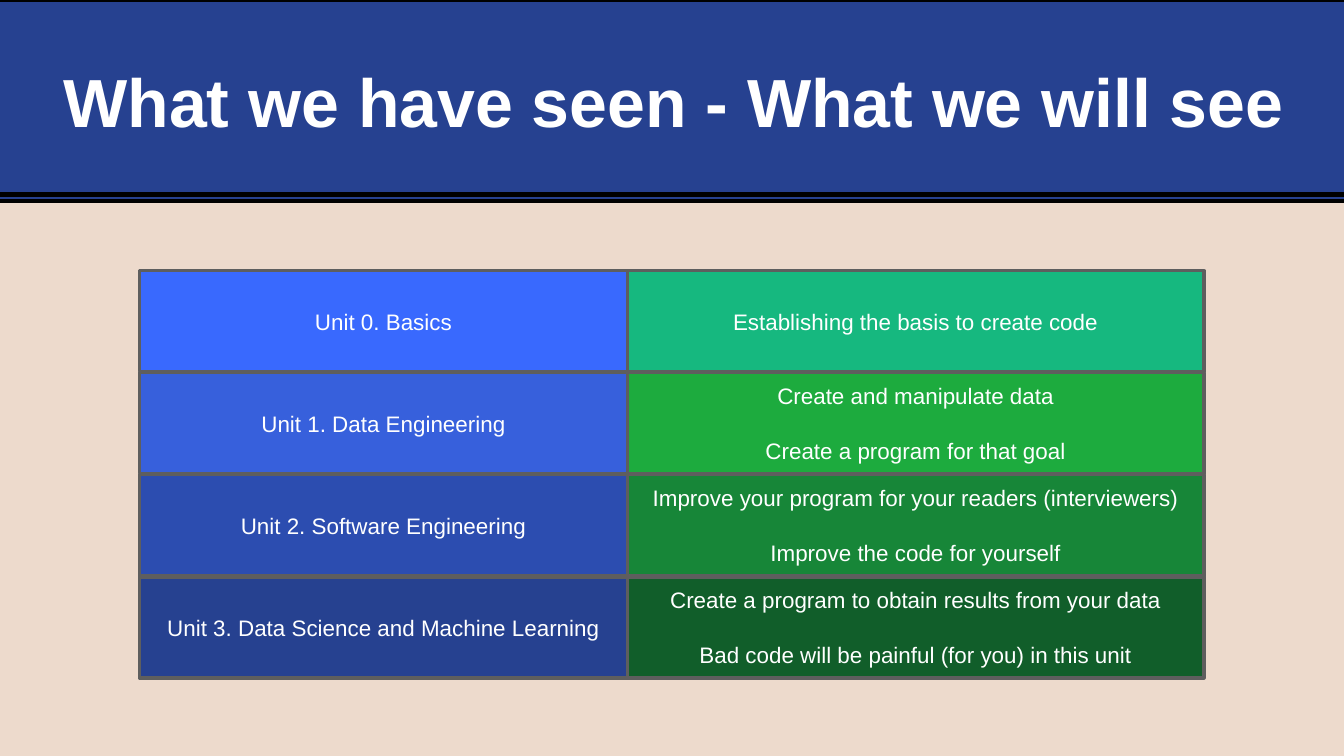
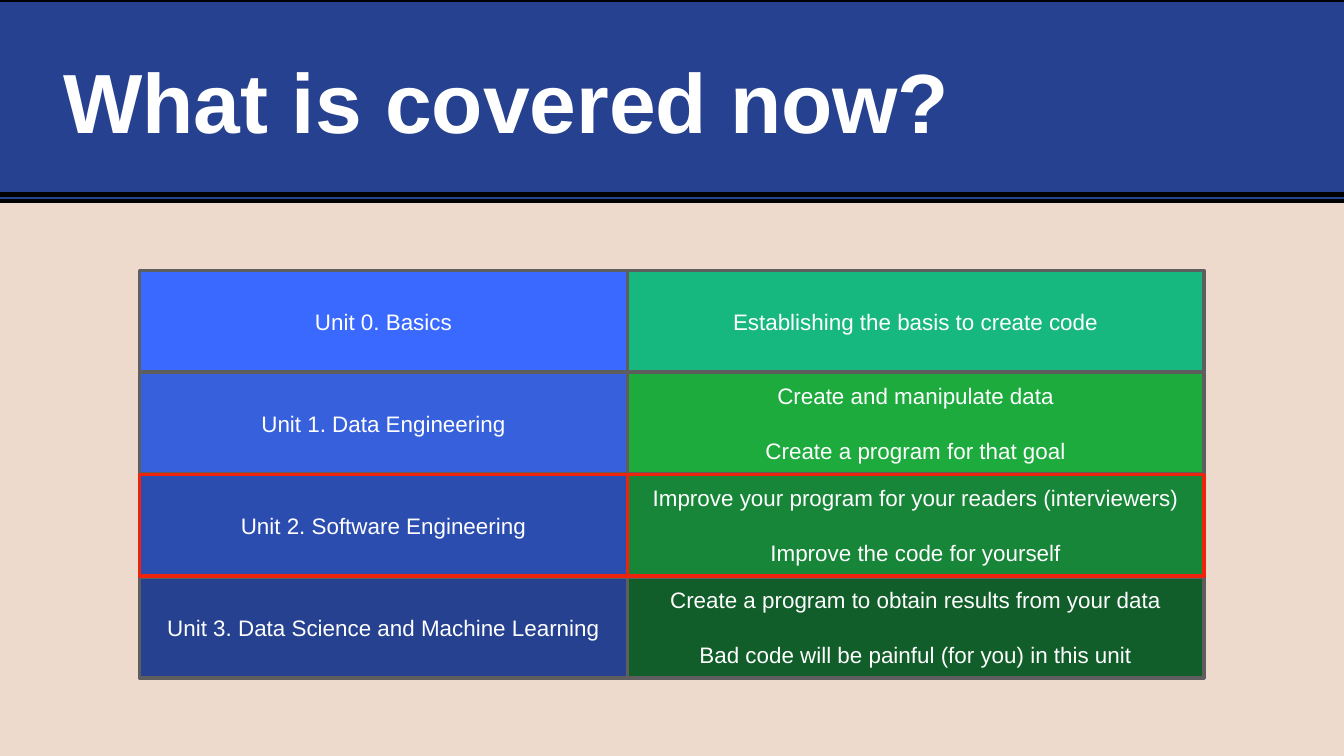
from pptx import Presentation
from pptx.dml.color import RGBColor
from pptx.enum.shapes import MSO_CONNECTOR, MSO_SHAPE
from pptx.enum.text import MSO_ANCHOR, PP_ALIGN
from pptx.oxml.ns import qn
from pptx.util import Inches, Pt
from lxml import etree

RECT = MSO_SHAPE.RECTANGLE
LINE = MSO_CONNECTOR.STRAIGHT
MIDDLE = MSO_ANCHOR.MIDDLE
LEFT, CENTER = PP_ALIGN.LEFT, PP_ALIGN.CENTER

# Shared style
WIDE, HIGH = 26.67, 15
FONT = "Arial"
SAND, NAVY, BLACK, WHITE = "EDDACC", "264190", "000000", "FFFFFF"
GREY, RED = "5E5E5E", "EE230C"

# Regions: left, top, width, height in inches
BAND = (-0.21, 0, 27.24, 3.99)
TITLE = (0.99, 0.64, 24.85, 2.7)
GRID = (2.77, 5.37, 21.12, 8.1)

# Unit grid: column weights, share of a row that a cell fills
COLS = (9.68, 11.44)
FILL = 0.99
UNITS = [
    (("3969FE", ["Unit 0. Basics"]),
     ("16B87F", ["Establishing the basis to create code"])),
    (("3760DC", ["Unit 1. Data Engineering"]),
     ("1DAB3E", ["Create and manipulate data",
                 "Create a program for that goal"])),
    (("2C4DB0", ["Unit 2. Software Engineering"]),
     ("178638", ["Improve your program for your readers (interviewers)",
                 "Improve the code for yourself"])),
    ((NAVY, ["Unit 3. Data Science and Machine Learning"]),
     ("115E2A", ["Create a program to obtain results from your data",
                 "Bad code will be painful (for you) in this unit"])),
]

# Title, title size, row outlined in red
SLIDES = [
    ("What we have seen - What we will see", 97.2, None),
    ("What is covered now?", 120, 2),
]


def color(hex):
    return RGBColor.from_string(hex)


def inches(box):
    return [Inches(v) for v in box]


def write(shape, lines, size, align, inset, bold=False, gap=0):
    frame = shape.text_frame
    frame.word_wrap = True
    frame.vertical_anchor = MIDDLE
    frame.margin_left = frame.margin_right = Inches(inset)
    frame.margin_top = frame.margin_bottom = Inches(inset)
    for i, line in enumerate(lines):
        para = frame.add_paragraph() if i else frame.paragraphs[0]
        para.alignment = align
        if i:
            para.space_before = Pt(gap)
        run = para.add_run()
        run.text = line
        font = run.font
        font.name, font.size, font.bold = FONT, Pt(size), bold
        font.color.rgb = color(WHITE)


def panel(slide, box, fill, edge, width):
    shape = slide.shapes.add_shape(RECT, *inches(box))
    shape.shadow.inherit = False
    shape.fill.solid()
    shape.fill.fore_color.rgb = color(fill)
    shape.line.color.rgb = color(edge)
    shape.line.width = Pt(width)
    return shape


def header(slide, box, title, size):
    # Band with a second rule just above its lower edge
    left, top, width, height = box
    panel(slide, box, NAVY, BLACK, 6)
    y = top + height * 0.967
    rule = slide.shapes.add_connector(
        LINE, *inches((left - 0.2, y, left + width - 0.14, y)))
    rule.line.color.rgb = color(BLACK)
    rule.line.width = Pt(6)
    etree.SubElement(rule._element.spPr, qn("a:effectLst"))
    # Title
    text = slide.shapes.add_textbox(*inches(TITLE))
    write(text, [title], size, LEFT, 0.27, bold=True)


def grid(slide, box, mark):
    left, top, width, height = box
    step = height / len(UNITS)
    unit = width / sum(COLS)
    # The marked row goes last so that its outline stays on top
    rows = sorted(range(len(UNITS)), key=lambda row: row == mark)
    for row in rows:
        edge = RED if row == mark else GREY
        x = left
        for col, (fill, lines) in zip(COLS, UNITS[row]):
            cell = (x, top + row * step, col * unit, step * FILL)
            shape = panel(slide, cell, fill, edge, 5)
            write(shape, lines, 32, CENTER, 0.06, gap=40)
            x += col * unit


def main():
    deck = Presentation()
    deck.slide_width, deck.slide_height = Inches(WIDE), Inches(HIGH)
    for title, size, mark in SLIDES:
        slide = deck.slides.add_slide(deck.slide_layouts[6])
        slide.background.fill.solid()
        slide.background.fill.fore_color.rgb = color(SAND)
        header(slide, BAND, title, size)
        grid(slide, GRID, mark)
    deck.save("out.pptx")


if __name__ == "__main__":
    main()
